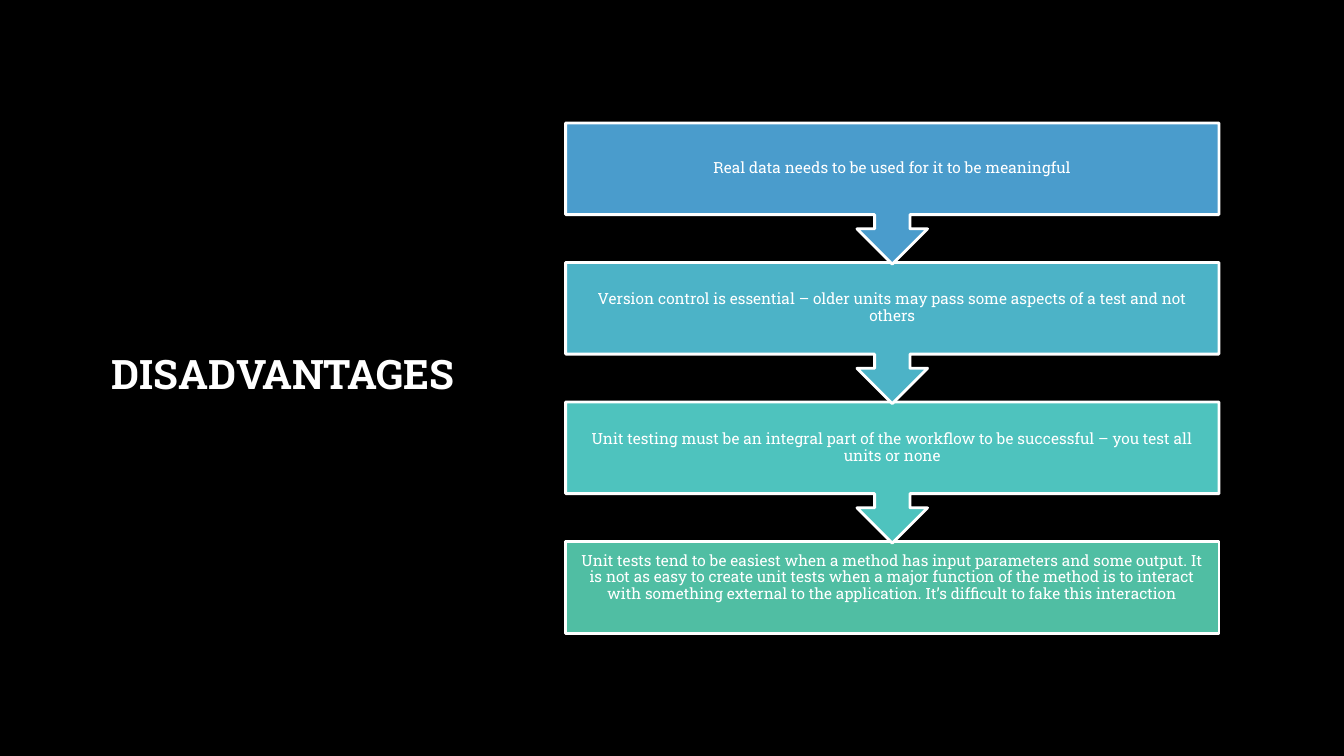
import pptx
import pptx.util
import pptx.dml.color
import pptx.enum.shapes
import pptx.enum.text

Inches = pptx.util.Inches
Pt = pptx.util.Pt
Kind = pptx.enum.shapes.MSO_SHAPE

TITLE = "DISADVANTAGES"
STEPS = [
    ("Real data needs to be used for it to be meaningful", "blue"),
    ("Version control is essential – older units may pass some aspects "
     "of a test and not others", "cyan"),
    ("Unit testing must be an integral part of the workflow to be "
     "successful – you test all units or none", "teal"),
    ("Unit tests tend to be easiest when a method has input parameters "
     "and some output. It is not as easy to create unit tests when a major "
     "function of the method is to interact with something external to the "
     "application. It’s difficult to fake this interaction", "green"),
]
COLORS = {
    "back": "000000", "text": "FFFFFF",
    "blue": "4A9CCC", "cyan": "4CB3C7", "teal": "4EC3BE", "green": "50BEA3",
}
FONT = "Roboto Slab"
WIDE, HIGH = 13.33, 7.5
LEFT, TOP, WIDTH = 5.61, 1.22, 6.48
PITCH, BOX, CALL = 1.384, 0.91, 1.4
PAD, LIFT = 0.09, 0.19


def color(name):
    return pptx.dml.color.RGBColor.from_string(COLORS[name])


def write(frame, text, size, bold=False):
    frame.word_wrap = True
    frame.auto_size = pptx.enum.text.MSO_AUTO_SIZE.NONE
    frame.vertical_anchor = pptx.enum.text.MSO_ANCHOR.MIDDLE
    para = frame.paragraphs[0]
    para.alignment = pptx.enum.text.PP_ALIGN.CENTER
    para.line_spacing = 0.9
    run = para.add_run()
    run.text = text
    run.font.name = FONT
    run.font.size = Pt(size)
    run.font.bold = bold
    run.font.color.rgb = color("text")


def add_step(slide, row, text, fill):
    last = row == len(STEPS) - 1
    kind = Kind.RECTANGLE if last else Kind.DOWN_ARROW_CALLOUT
    step = slide.shapes.add_shape(
        kind, Inches(LEFT), Inches(TOP + row * PITCH),
        Inches(WIDTH), Inches(BOX if last else CALL))
    step.shadow.inherit = False
    step.fill.solid()
    step.fill.fore_color.rgb = color(fill)
    step.line.color.rgb = color("text")
    step.line.width = Pt(2)
    frame = step.text_frame
    frame.margin_left = frame.margin_right = frame.margin_top = Inches(PAD)
    frame.margin_bottom = Inches(PAD + LIFT if last else PAD)
    write(frame, text, 11)


def main():
    deck = pptx.Presentation()
    deck.slide_width, deck.slide_height = Inches(WIDE), Inches(HIGH)
    slide = deck.slides.add_slide(deck.slide_layouts[5])
    slide.background.fill.solid()
    slide.background.fill.fore_color.rgb = color("back")

    title = slide.shapes.title
    title.left, title.top = Inches(0.82), Inches(0.67)
    title.width, title.height = Inches(3.98), Inches(6.13)
    write(title.text_frame, TITLE, 29, True)

    for row, (text, fill) in reversed(list(enumerate(STEPS))):
        add_step(slide, row, text, fill)
    deck.save("out.pptx")


if __name__ == "__main__":
    main()
